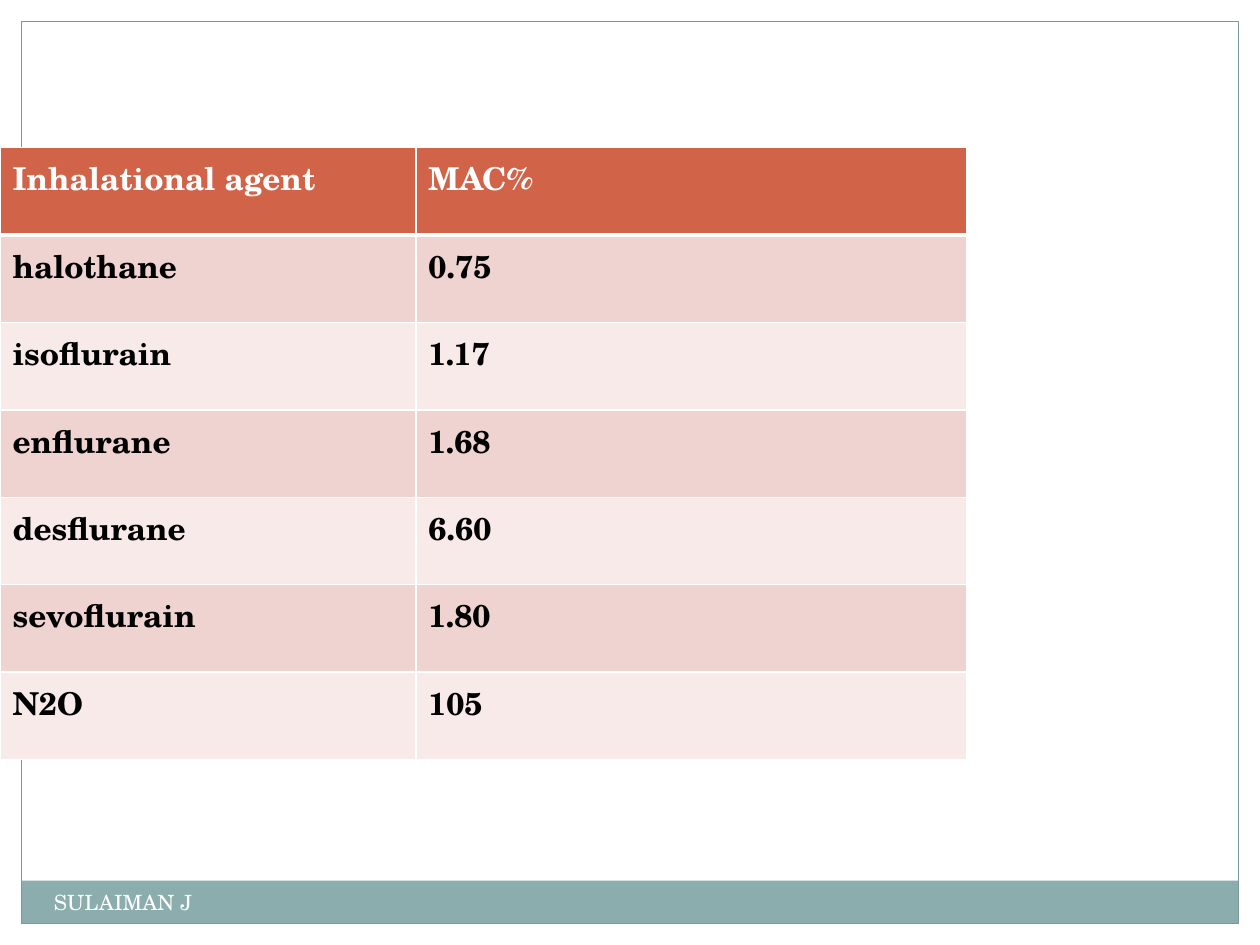
from dataclasses import dataclass

from lxml.etree import SubElement
from pptx import Presentation
from pptx.dml.color import RGBColor as RGB
from pptx.enum.shapes import MSO_SHAPE as SHAPE
from pptx.oxml import parse_xml
from pptx.oxml.ns import nsdecls, qn
from pptx.util import Inches, Pt


@dataclass(frozen=True)
class Theme:
    font: str = "TeX Gyre Schola"
    white: str = "FFFFFF"
    text: str = "000000"
    band: str = "8CADAE"
    frame: str = "7C999A"
    header: str = "D16349"
    rows: tuple = ("EED3D0", "F7EAE9")
    table_size: int = 18
    footer_size: int = 12
    frame_width: float = 0.75
    rule: int = 1
    header_rule: int = 3


THEME = Theme()
AGENTS = [
    ("Inhalational agent", "MAC%"),
    ("halothane", "0.75"),
    ("isoflurain", "1.17"),
    ("enflurane", "1.68"),
    ("desflurane", "6.60"),
    ("sevoflurain", "1.80"),
    ("N2O", "105"),
]


def style_text(paragraph, size, color, bold=False):
    font = paragraph.font
    font.name, font.size, font.bold = THEME.font, Pt(size), bold
    font.color.rgb = RGB.from_string(color)


def add_rectangle(slide, box, fill=None, line=None):
    rectangle = slide.shapes.add_shape(SHAPE.RECTANGLE, *map(Inches, box))
    rectangle.shadow.inherit = False
    if fill:
        rectangle.fill.solid()
        rectangle.fill.fore_color.rgb = RGB.from_string(fill)
    else:
        rectangle.fill.background()
    if line:
        rectangle.line.color.rgb = RGB.from_string(line)
        rectangle.line.width = Pt(THEME.frame_width)
    else:
        rectangle.line.fill.background()


def add_page_frame(slide, width, height, margin=0.17, band_height=0.34):
    # White margins, footer band, then the outline around both
    for box in [(0, 0, width, margin),
                (width - margin, 0, margin, height),
                (0, 0, margin, height)]:
        add_rectangle(slide, box, fill=THEME.white)
    inner_width, inner_height = width - 2 * margin, height - 2 * margin
    band_top = height - margin - band_height
    add_rectangle(slide, (margin, band_top, inner_width, band_height), fill=THEME.band)
    add_rectangle(slide, (margin, margin, inner_width, inner_height), line=THEME.frame)


def add_footer(slide, box, author):
    footer = slide.shapes.add_textbox(*map(Inches, box)).text_frame
    footer.word_wrap = True
    footer.text = author
    style_text(footer.paragraphs[0], THEME.footer_size, THEME.white)


def set_borders(cell, top, bottom):
    properties = cell._tc.get_or_add_tcPr()
    widths = {"lnL": THEME.rule, "lnR": THEME.rule, "lnT": top, "lnB": bottom}
    for position, (side, width) in enumerate(widths.items()):
        border = parse_xml(f'<a:{side} {nsdecls("a")} w="{Pt(width)}"/>')
        fill = SubElement(border, qn("a:solidFill"))
        SubElement(fill, qn("a:srgbClr"), val=THEME.white)
        properties.insert(position, border)


def add_agent_table(slide, box, first_column, agents):
    left, top, width, height = box
    table = slide.shapes.add_table(len(agents), 2, *map(Inches, box)).table
    table.columns[0].width = Inches(first_column)
    table.columns[1].width = Inches(width - first_column)
    for row, values in enumerate(agents):
        table.rows[row].height = Inches(height / len(agents))
        is_header = row == 0
        fill = THEME.header if is_header else THEME.rows[(row - 1) % 2]
        color = THEME.white if is_header else THEME.text
        for column, value in enumerate(values):
            cell = table.cell(row, column)
            cell.text = value
            style_text(cell.text_frame.paragraphs[0], THEME.table_size, color, bold=True)
            cell.fill.solid()
            cell.fill.fore_color.rgb = RGB.from_string(fill)
            set_borders(cell,
                        top=THEME.header_rule if row == 1 else THEME.rule,
                        bottom=THEME.header_rule if is_header else THEME.rule)


def main():
    deck = Presentation()
    width, height = 10, 7.5
    deck.slide_width, deck.slide_height = Inches(width), Inches(height)
    slide = deck.slides.add_slide(deck.slide_layouts[6])
    add_page_frame(slide, width, height)
    add_footer(slide, (0.33, 7.01, 3.92, 0.4), "SULAIMAN J")
    add_agent_table(slide, (0, 1.17, 7.67, 4.86), 3.3, AGENTS)
    deck.save("out.pptx")


if __name__ == "__main__":
    main()
